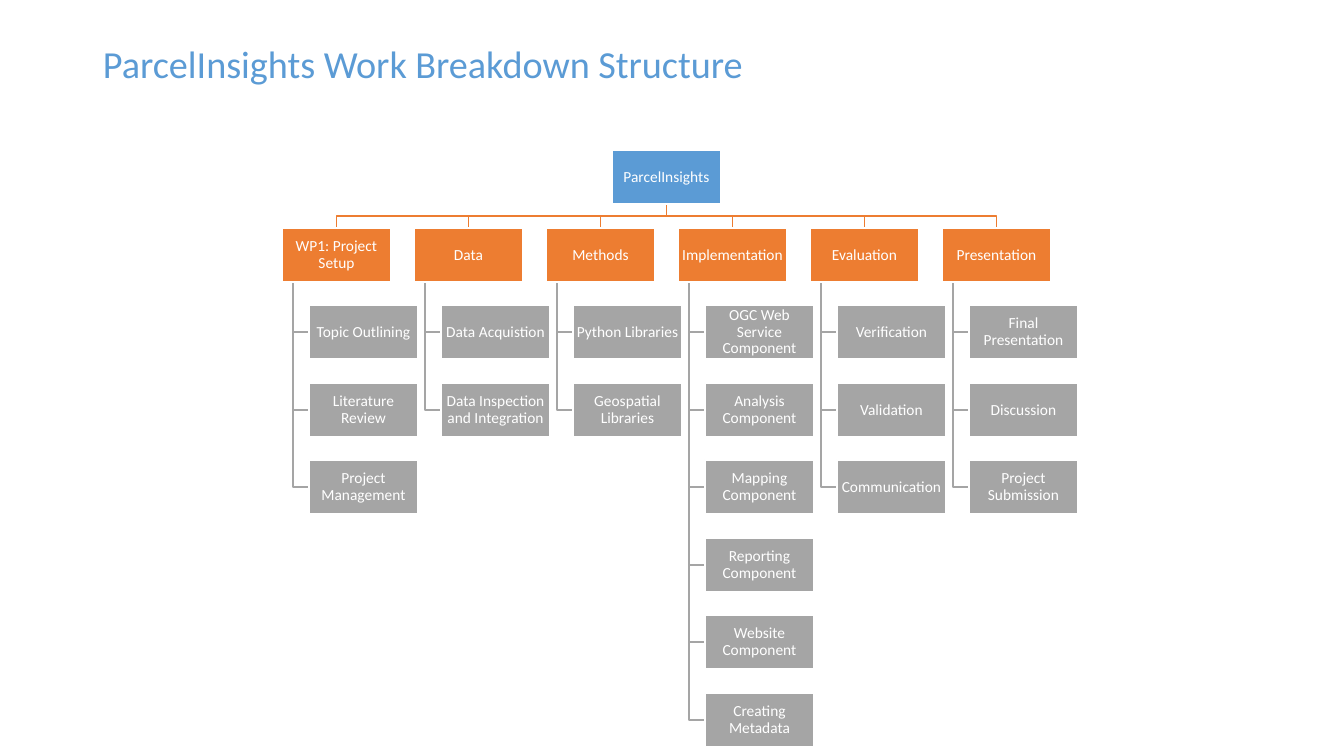
from pptx import Presentation
from pptx import util as u
from pptx.dml.color import RGBColor
from pptx.enum import shapes, text

BLUE = RGBColor(0x5B, 0x9B, 0xD5)
ORANGE = RGBColor(0xED, 0x7D, 0x31)
GREY = RGBColor(0xA5, 0xA5, 0xA5)
WHITE = RGBColor(0xFF, 0xFF, 0xFF)

FONT = "Calibri"
PIXEL = u.Inches(1) / 100.8
BOX_WIDTH, BOX_HEIGHT = 109, 54
ROOT_LEFT = 612
FIRST_LEFT, COLUMN_PITCH = 282, 132
TRUNK_INDENT, TASK_INDENT = 11, 27

ROOT_NAME = "ParcelInsights"
WORK_PACKAGES = [
    ("WP1: Project Setup",
     ["Topic Outlining", "Literature Review", "Project Management"]),
    ("Data", ["Data Acquistion", "Data Inspection and Integration"]),
    ("Methods", ["Python Libraries", "Geospatial Libraries"]),
    ("Implementation",
     ["OGC Web Service Component", "Analysis Component", "Mapping Component",
      "Reporting Component", "Website Component", "Creating Metadata"]),
    ("Evaluation", ["Verification", "Validation", "Communication"]),
    ("Presentation", ["Final Presentation", "Discussion", "Project Submission"]),
]


def px(length):
    """Turn pixels into EMU."""
    return u.Emu(round(length * PIXEL))


def row_top(row):
    """Return the top of a chart row, the rows being 77.5 pixels apart."""
    return 150 + (row * 155 + 1) // 2


def column_left(column):
    """Return the left edge of a work package."""
    return FIRST_LEFT + column * COLUMN_PITCH


def write(frame, words, size, color, inset, align, anchor):
    """Fill a text frame with one paragraph."""
    frame.word_wrap = True
    frame.vertical_anchor = anchor
    frame.margin_left = frame.margin_right = px(inset[0])
    frame.margin_top = frame.margin_bottom = px(inset[1])
    para = frame.paragraphs[0]
    para.alignment = align
    para.line_spacing = 0.9
    span = para.add_run()
    span.text = words
    span.font.name = FONT
    span.font.size = u.Pt(size)
    span.font.color.rgb = color


def add_title(page, words):
    """Add the slide heading."""
    box = page.shapes.add_textbox(px(93), px(40), px(1159), px(118))
    write(box.text_frame, words, 27.3, BLUE, (10, 5),
          text.PP_ALIGN.LEFT, text.MSO_ANCHOR.TOP)


def add_node(page, words, left, row, color):
    """Add one labelled box of the breakdown."""
    box = page.shapes.add_shape(
        shapes.MSO_SHAPE.RECTANGLE,
        px(left), px(row_top(row)), px(BOX_WIDTH), px(BOX_HEIGHT))
    box.shadow.inherit = False
    box.fill.solid()
    box.fill.fore_color.rgb = color
    box.line.color.rgb = WHITE
    box.line.width = u.Pt(1)
    write(box.text_frame, words, 11, WHITE, (1, 1),
          text.PP_ALIGN.CENTER, text.MSO_ANCHOR.MIDDLE)


def add_branch(page, points, color):
    """Add an open line with square bends."""
    start, *bends = [(px(x), px(y)) for x, y in points]
    builder = page.shapes.build_freeform(*start)
    builder.add_line_segments(bends, close=False)
    branch = builder.convert_to_shape()
    branch.shadow.inherit = False
    branch.fill.background()
    branch.line.color.rgb = color
    branch.line.width = u.Pt(1)


def add_package_branch(page, column):
    """Join the root to a work package."""
    root_middle = ROOT_LEFT + BOX_WIDTH / 2
    middle = column_left(column) + BOX_WIDTH / 2
    bottom, top = row_top(0) + BOX_HEIGHT, row_top(1)
    bend = (bottom + top) // 2
    add_branch(page, [(root_middle, bottom), (root_middle, bend),
                      (middle, bend), (middle, top)], ORANGE)


def add_task_branch(page, column, row):
    """Join a work package to one of its tasks."""
    left = column_left(column)
    trunk = left + TRUNK_INDENT
    level = row_top(row) + BOX_HEIGHT // 2
    add_branch(page, [(trunk, row_top(1) + BOX_HEIGHT), (trunk, level),
                      (left + TASK_INDENT, level)], GREY)


def main():
    """Build the work breakdown slide."""
    deck = Presentation()
    deck.slide_width, deck.slide_height = px(1344), px(756)
    page = deck.slides.add_slide(deck.slide_layouts[6])

    for column, (_, tasks) in enumerate(WORK_PACKAGES):
        add_package_branch(page, column)
        for row, _ in enumerate(tasks, start=2):
            add_task_branch(page, column, row)

    add_node(page, ROOT_NAME, ROOT_LEFT, 0, BLUE)
    for column, (package, tasks) in enumerate(WORK_PACKAGES):
        left = column_left(column)
        add_node(page, package, left, 1, ORANGE)
        for row, task in enumerate(tasks, start=2):
            add_node(page, task, left + TASK_INDENT, row, GREY)

    add_title(page, ROOT_NAME + " Work Breakdown Structure")
    deck.save("out.pptx")


main()
